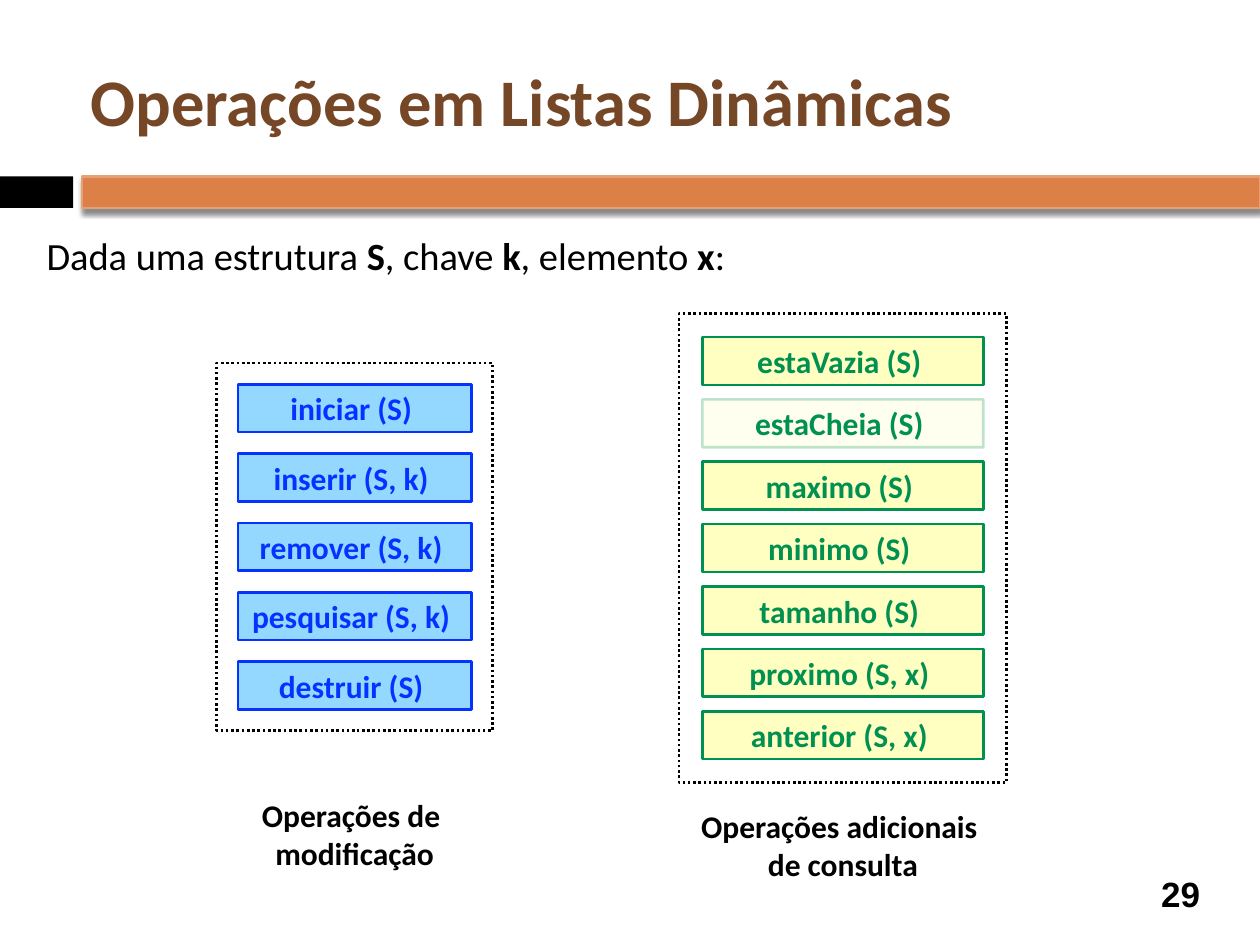
from lxml import etree
from pptx import Presentation, util as u
from pptx.dml.color import RGBColor
from pptx.enum import dml, shapes, text
from pptx.oxml import parse_xml
from pptx.oxml.ns import qn

W, H = 10, 7.5
CHIP_H = 0.38
LEFT, CENTER = text.PP_ALIGN.LEFT, text.PP_ALIGN.CENTER
TOP, MIDDLE = text.MSO_ANCHOR.TOP, text.MSO_ANCHOR.MIDDLE


def rgb(value):
    return RGBColor.from_string(value)


def set_alpha(fill_parent, percent):
    color = fill_parent.find(qn("a:solidFill"))[0]
    etree.SubElement(color, qn("a:alpha"), val=str(percent * 1000))


def write(sp, lines, size, color="000000", bold=True, font="Calibri",
          align=CENTER, anchor=MIDDLE, wrap=True):
    """Each line is a string, or a list of (string, bold) runs."""
    tf = sp.text_frame
    tf.word_wrap = wrap
    tf.vertical_anchor = anchor
    tf.margin_left = tf.margin_right = u.Inches(0.05)
    tf.margin_top = tf.margin_bottom = u.Inches(0.05)
    for i, line in enumerate(lines):
        p = tf.paragraphs[0] if i == 0 else tf.add_paragraph()
        p.alignment = align
        p.font.size, p.font.name, p.font.bold = u.Pt(size), font, bold
        p.font.color.rgb = rgb(color)
        for words, strong in [(line, None)] if isinstance(line, str) else line:
            r = p.add_run()
            r.text = words
            r.font.bold = strong


def add_text(s, box, lines, size, **style):
    sp = s.shapes.add_textbox(*map(u.Inches, box))
    write(sp, lines, size, **style)
    return sp


def add_rect(s, box, fill=None, line=None, dash=None):
    sp = s.shapes.add_shape(shapes.MSO_SHAPE.RECTANGLE, *map(u.Inches, box))
    sp.shadow.inherit = False
    if fill:
        sp.fill.solid()
        sp.fill.fore_color.rgb = rgb(fill)
    else:
        sp.fill.background()
    if line:
        sp.line.color.rgb = rgb(line)
        sp.line.width = u.Pt(1.5)
        sp.line.dash_style = dash
    else:
        sp.line.fill.background()
    return sp


def add_band(s, x, y, w, h):
    """Black tab and shadowed orange bar under the title."""
    tab = 0.58
    gap = 0.07
    add_rect(s, (x, y, tab, h), "000000")
    bar = add_rect(s, (x + tab + gap, y, w - tab - gap, h), "DD8047", "E5A075")
    effects = bar._element.spPr.find(qn("a:effectLst"))
    effects.append(parse_xml(
        '<a:outerShdw xmlns:a="http://schemas.openxmlformats.org/drawingml/2006/main" '
        f'blurRad="{u.Pt(3)}" dist="{u.Pt(2.4)}" dir="5400000" rotWithShape="0">'
        '<a:srgbClr val="000000"><a:alpha val="45000"/></a:srgbClr></a:outerShdw>'))


def add_group(s, x, y, w, h, pad, labels, fill, ink, faded=()):
    """Dotted frame holding evenly spaced operation chips."""
    add_rect(s, (x, y, w, h), line="000000", dash=dml.MSO_LINE.ROUND_DOT)
    pitch = (h - 2 * pad - CHIP_H) / (len(labels) - 1)
    for i, label in enumerate(labels):
        chip = add_rect(s, (x + pad, y + pad + i * pitch, w - 2 * pad, CHIP_H), fill, ink)
        write(chip, [label + " "], 18, color=ink)
        if label in faded:
            spPr = chip._element.spPr
            set_alpha(spPr, 26)
            set_alpha(spPr.find(qn("a:ln")), 26)


def add_caption(s, box, lines):
    sp = add_text(s, box, lines, 18, anchor=TOP, wrap=False)
    sp.text_frame.auto_size = text.MSO_AUTO_SIZE.SHAPE_TO_FIT_TEXT


def main():
    prs = Presentation()
    prs.slide_width, prs.slide_height = u.Inches(W), u.Inches(H)
    s = prs.slides.add_slide(prs.slide_layouts[6])

    # Heading, page number and introduction
    add_band(s, 0, 1.4, W, 0.25)
    add_text(s, (9.08, 6.89, 0.58, 0.41), ["29"], 20, font="Arial")
    add_text(s, (0.67, 0.25, 8.92, 1.08), ["Operações em Listas Dinâmicas"], 38,
             color="754726", align=LEFT)
    intro = [("Dada uma estrutura ", False), ("S", True), (", chave ", False),
             ("k", True), (", elemento ", False), ("x", True), (":", False)]
    add_text(s, (0.32, 1.79, 9, 0.63), [intro], 22, bold=False, align=LEFT, anchor=TOP)

    # Modifying operations
    add_group(s, 1.72, 2.88, 2.19, 2.92, 0.17,
              ["iniciar (S)", "inserir (S, k)", "remover (S, k)",
               "pesquisar (S, k)", "destruir (S)"], "95D8FF", "0433FF")
    add_caption(s, (2.01, 6.27, 1.61, 0.63), ["Operações de ", "modificação"])

    # Query operations
    add_group(s, 5.39, 2.49, 2.6, 3.72, 0.185,
              ["estaVazia (S)", "estaCheia (S)", "maximo (S)", "minimo (S)",
               "tamanho (S)", "proximo (S, x)", "anterior (S, x)"],
              "FFFFC2", "009051", faded=["estaCheia (S)"])
    add_caption(s, (5.48, 6.36, 2.42, 0.63), ["Operações adicionais ", "de consulta"])

    prs.save("out.pptx")


if __name__ == "__main__":
    main()
